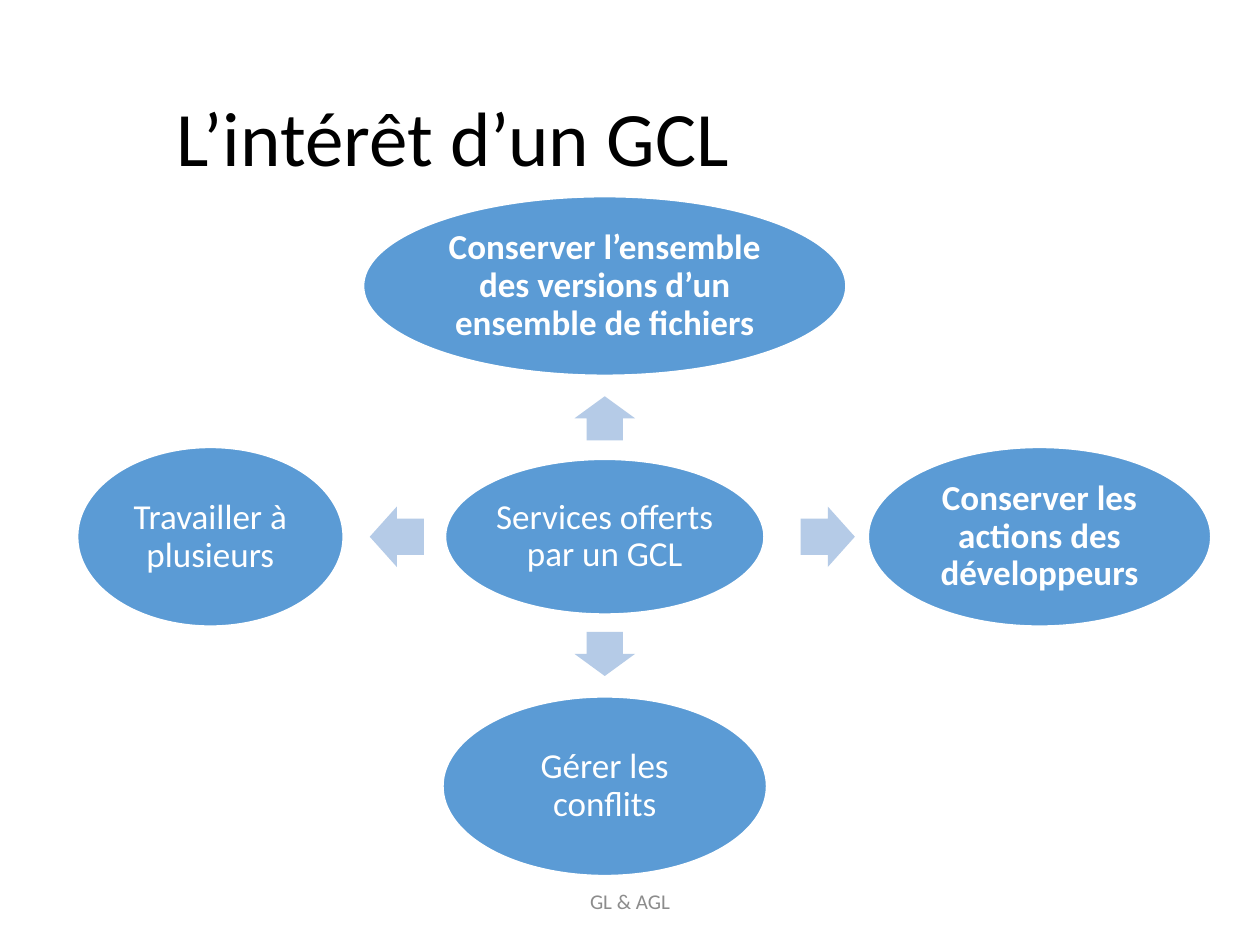
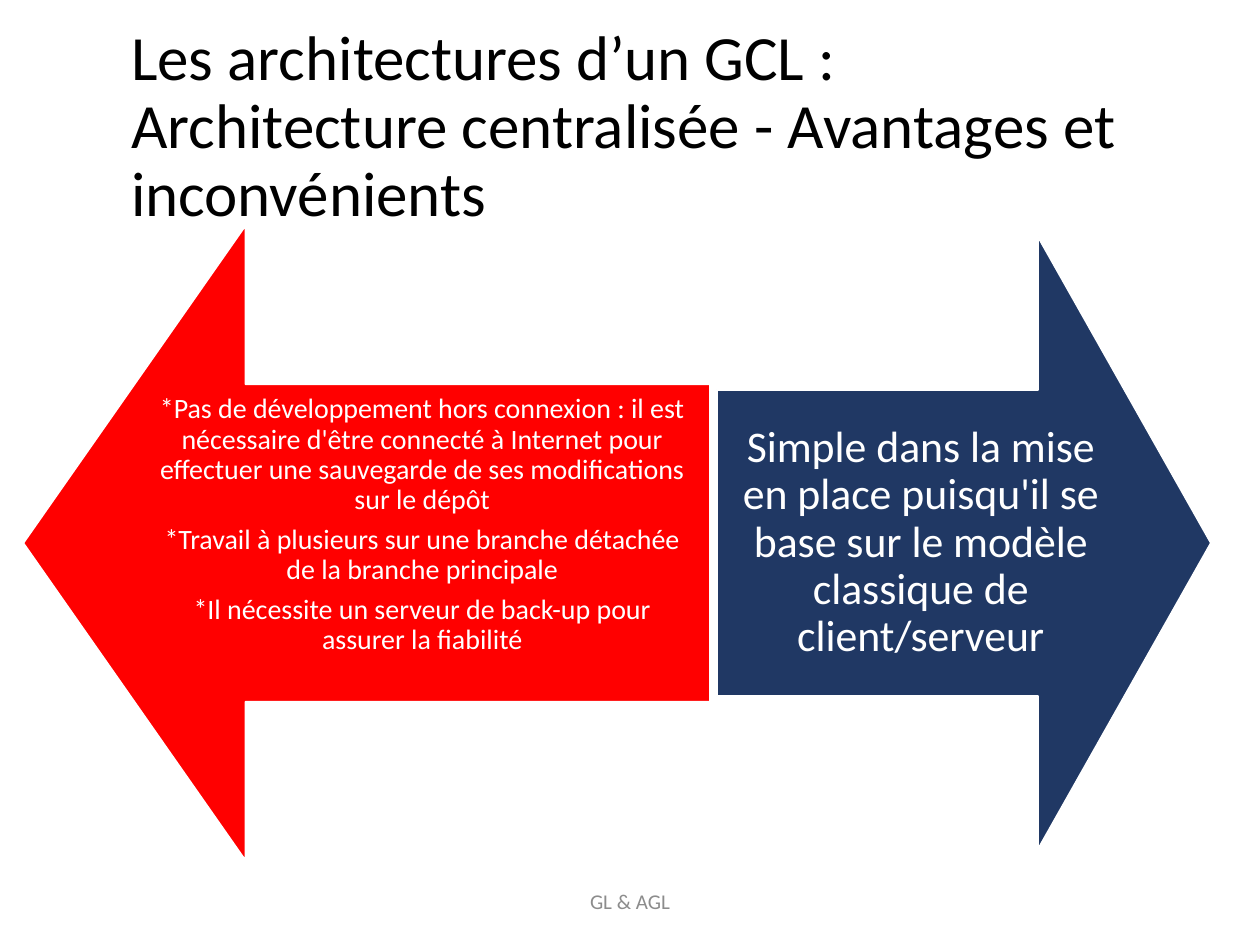
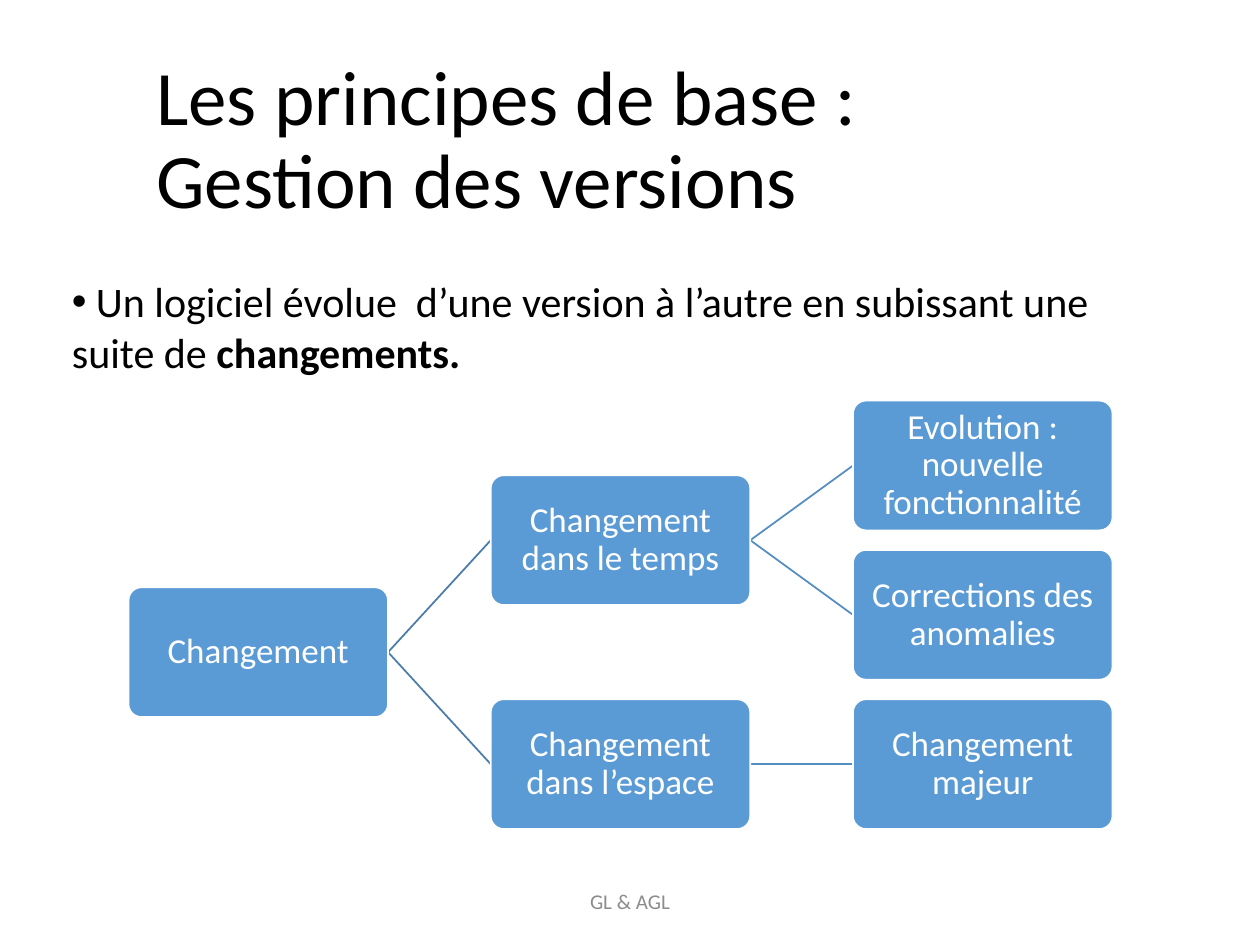
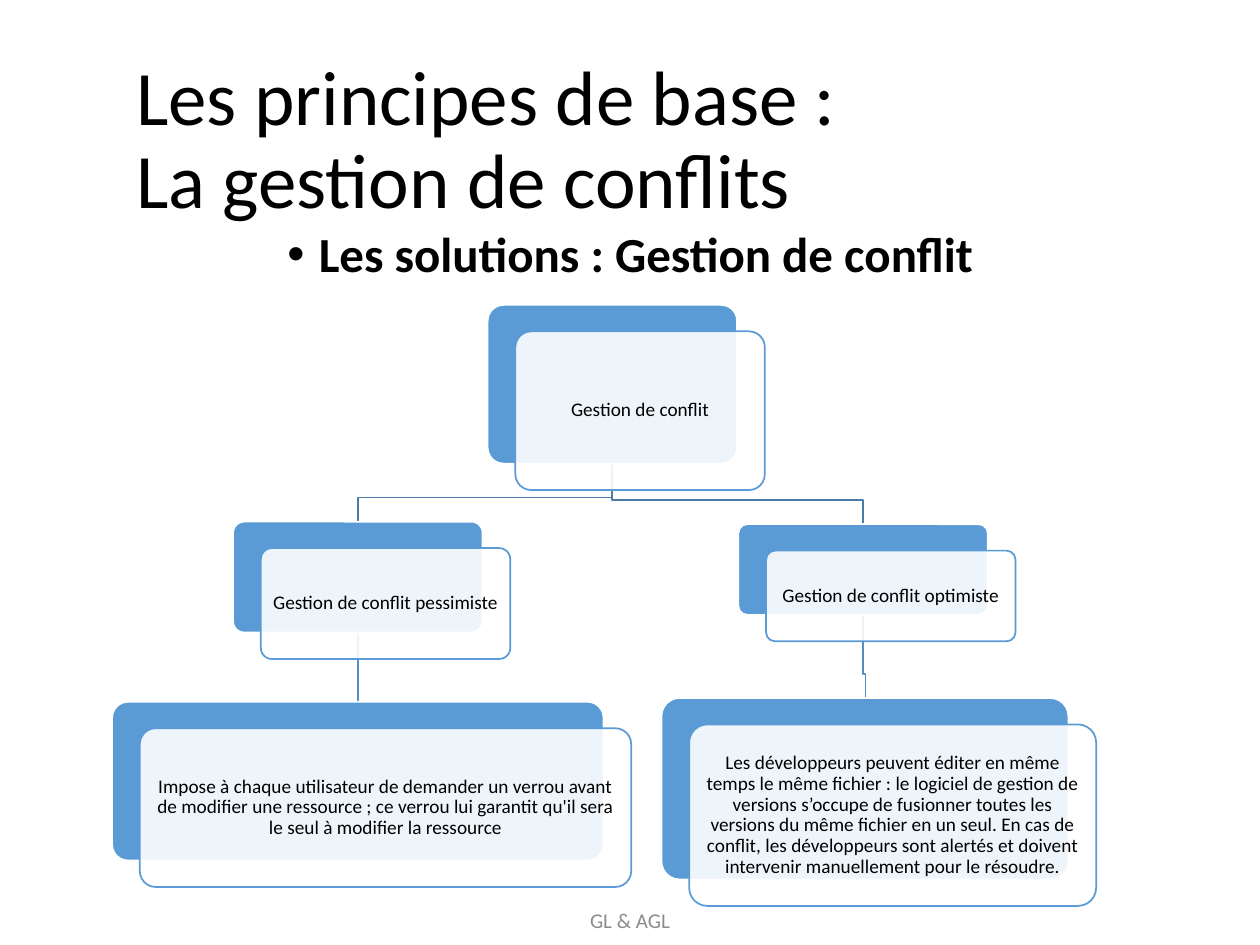
from lxml.etree import SubElement
from pptx import Presentation
from pptx.dml.color import RGBColor
from pptx.enum.shapes import MSO_CONNECTOR as Link, MSO_SHAPE as Kind
from pptx.enum.text import MSO_ANCHOR as Anchor, MSO_AUTO_SIZE as Fit, PP_ALIGN as Align
from pptx.oxml.ns import qn
from pptx.util import Inches, Pt

BLACK = RGBColor(0x00, 0x00, 0x00)
WHITE = RGBColor(0xFF, 0xFF, 0xFF)
GREY = RGBColor(0x8C, 0x8C, 0x8C)
BLUE = RGBColor(0x5B, 0x9B, 0xD5)
PALE = RGBColor(0xB5, 0xCB, 0xE7)
NAVY = RGBColor(0x20, 0x38, 0x64)
RED = RGBColor(0xFF, 0x00, 0x00)
DARK = RGBColor(0x49, 0x7C, 0xAB)
MID = RGBColor(0x53, 0x8D, 0xC1)
FONT = "Calibri"
TITLE_ONLY, TITLE_BODY = 5, 1


def place(shape, box):
    shape.left, shape.top, shape.width, shape.height = map(Inches, box)


def around(x, y, w, h):
    return x - w / 2, y - h / 2, w, h


def style(par, size, color, align=Align.CENTER, gap=0.9):
    par.alignment = align
    par.line_spacing = gap
    for run in par.runs:
        font = run.font
        font.name, font.size = FONT, Pt(size)
        font.color.rgb = color


def write(shape, text, size, color, pad, bold=False):
    frame = shape.text_frame
    frame.word_wrap = True
    frame.vertical_anchor = Anchor.MIDDLE
    frame.margin_left = frame.margin_right = Inches(pad)
    frame.margin_top = frame.margin_bottom = Inches(pad)
    frame.text = text
    for par in frame.paragraphs:
        style(par, size, color)
        par.space_after = Pt(0.35 * size)
        par.font.bold = bold
        for run in par.runs:
            run.font.bold = bold
    return frame


def draw(slide, kind, box, fill, line=WHITE, adj=()):
    shape = slide.shapes.add_shape(kind, *map(Inches, box))
    shape.shadow.inherit = False
    shape.fill.solid()
    shape.fill.fore_color.rgb = fill
    if line is None:
        shape.line.fill.background()
    else:
        shape.line.color.rgb = line
        shape.line.width = Pt(1)
    for i, share in enumerate(adj):
        shape.adjustments[i] = share
    return shape


def join(slide, start, end, color):
    line = slide.shapes.add_connector(Link.STRAIGHT, *map(Inches, start + end))
    line.line.color.rgb = color
    line.line.width = Pt(1)
    SubElement(line.element.spPr, qn("a:effectLst"))


def bend(slide, start, end, color):
    if start[0] == end[0]:
        return join(slide, start, end, color)
    turn = end[1] - 0.19
    dots = [(Inches(x), Inches(y)) for x, y in
            (start, (start[0], turn), (end[0], turn), end)]
    pen = slide.shapes.build_freeform(*dots[0])
    pen.add_line_segments(dots[1:], close=False)
    line = pen.convert_to_shape()
    line.shadow.inherit = False
    line.fill.background()
    line.line.color.rgb = color
    line.line.width = Pt(1)


def start(deck, layout, title, box, size=44, foot=6.95):
    slide = deck.slides.add_slide(deck.slide_layouts[layout])
    head = slide.shapes.title
    place(head, box)
    frame = head.text_frame
    frame.text = title
    frame.auto_size = Fit.NONE
    frame.vertical_anchor = Anchor.MIDDLE
    style(frame.paragraphs[0], size, BLACK, Align.LEFT)
    note = slide.shapes.add_textbox(*map(Inches, (3.31, foot, 3.38, 0.4)))
    frame = note.text_frame
    frame.word_wrap = True
    frame.vertical_anchor = Anchor.MIDDLE
    frame.text = "GL & AGL"
    style(frame.paragraphs[0], 12, GREY, gap=1.0)
    return slide


def bullet(slide, box, parts, size, align, gap, before, indent):
    body = slide.placeholders[1]
    place(body, box)
    frame = body.text_frame
    frame.auto_size = Fit.NONE
    par = frame.paragraphs[0]
    for text, bold in parts:
        run = par.add_run()
        run.text = text
        run.font.bold = bold
    style(par, size, BLACK, align, gap)
    par.space_before = Pt(before)
    props = par._p.get_or_add_pPr()
    props.set("marL", str(Inches(indent)))
    props.set("indent", str(-Inches(indent)))


def card(slide, box, text):
    x, y, w, h = box
    draw(slide, Kind.ROUNDED_RECTANGLE, box, BLUE, adj=[0.1])
    front = draw(slide, Kind.ROUNDED_RECTANGLE, (x + 0.22, y + 0.21, w, h),
                 WHITE, BLUE, [0.1])
    tint = front.element.spPr.find(qn("a:solidFill"))[0]
    SubElement(tint, qn("a:alpha")).set("val", "90000")
    write(front, text, 11, BLACK, 0.05)


def services(deck):
    slide = start(deck, TITLE_ONLY, "L’intérêt d’un GCL", (1.3, 0.4, 8.01, 1.45))
    mid, row = 4.8, 4.26
    ovals = [
        (mid, row, 2.53, 1.23, "Services offerts par un GCL", False),
        (mid, 2.27, 3.83, 1.42,
         "Conserver l’ensemble des versions d’un ensemble de fichiers", True),
        (8.25, row, 2.72, 1.42, "Conserver les actions des développeurs", True),
        (mid, 6.24, 2.57, 1.42, "Gérer les conflits", False),
        (1.67, row, 2.11, 1.42, "Travailler à plusieurs", False),
    ]
    for x, y, w, h, text, bold in ovals:
        oval = draw(slide, Kind.OVAL, around(x, y, w, h), BLUE)
        write(oval, text, 20, WHITE, 0.03, bold)
    arrows = [
        (Kind.UP_ARROW, mid, 3.32, 0.48, 0.35),
        (Kind.RIGHT_ARROW, 6.57, row, 0.43, 0.48),
        (Kind.DOWN_ARROW, mid, 5.19, 0.48, 0.35),
        (Kind.LEFT_ARROW, 3.15, row, 0.43, 0.48),
    ]
    for kind, *spot in arrows:
        draw(slide, kind, around(*spot), PALE, None, [0.6, 0.5])


def balance(deck):
    slide = start(deck, TITLE_ONLY,
                  "Les architectures d’un GCL : \v"
                  "Architecture centralisée - Avantages et inconvénients",
                  (0.94, 0.32, 8.33, 1.4), 36)
    row, adj = 4.31, [0.5, 0.35]
    cons = draw(slide, Kind.LEFT_ARROW, around(2.91, row, 5.45, 5.04), RED, adj=adj)
    frame = write(cons, "\n".join([
        "*Pas de développement hors connexion : il est nécessaire d'être connecté "
        "à Internet pour effectuer une sauvegarde de ses modifications sur le dépôt",
        "*Travail à plusieurs sur une branche détachée de la branche principale",
        "*Il nécessite un serveur de back-up pour assurer la fiabilité",
    ]), 16, WHITE, 0.12)
    frame.margin_bottom = Inches(0.4)
    pros = draw(slide, Kind.RIGHT_ARROW, around(7.65, row, 3.92, 4.86), NAVY, adj=adj)
    write(pros, "Simple dans la mise en place puisqu'il se base sur le modèle "
                "classique de client/serveur", 25, WHITE, 0.19)


def changes(deck):
    slide = start(deck, TITLE_BODY, "Les principes de base : \vGestion des versions",
                  (1.14, 0.4, 8.17, 1.45))
    bullet(slide, (0.47, 2.14, 8.98, 0.91), [
        (" Un logiciel évolue  d’une version à l’autre en subissant une suite de ", False),
        ("changements.", True)], 24, Align.LEFT, 1.0, 0, 0)
    wide, high = 2.06, 1.03
    nodes = [
        (0, 1.25, "Changement"),
        (1, 0.5, "Changement dans le temps"),
        (1, 2, "Changement dans l’espace"),
        (2, 0, "Evolution : nouvelle fonctionnalité"),
        (2, 1, "Corrections des anomalies"),
        (2, 2, "Changement majeur"),
    ]
    spots = [(1.02 + 2.875 * col, 3.18 + 1.185 * row) for col, row, _ in nodes]
    for a, b in [(0, 1), (0, 2), (1, 3), (1, 4), (2, 5)]:
        (x, y), (u, v) = spots[a], spots[b]
        join(slide, (x + wide, y + high / 2), (u, v + high / 2), MID if a else DARK)
    for spot, (_, _, text) in zip(spots, nodes):
        box = draw(slide, Kind.ROUNDED_RECTANGLE, (*spot, wide, high), BLUE, adj=[0.1])
        write(box, text, 20, WHITE, 0.01)


def conflicts(deck):
    slide = start(deck, TITLE_BODY, "Les principes de base :\vLa gestion de conflits",
                  (0.98, 0.4, 8.33, 1.45), foot=7.1)
    bullet(slide, (0.69, 1.78, 8.62, 4.76),
           [("Les solutions : Gestion de conflit", True)], 28, Align.CENTER, 0.9, 10, 0.25)
    cards = [
        (3.87, 2.42, 1.98, 1.26, "Gestion de conflit"),
        (1.85, 4.14, 1.98, 0.88, "Gestion de conflit pessimiste"),
        (0.89, 5.57, 3.9, 1.26,
         "Impose à chaque utilisateur de demander un verrou avant de modifier une "
         "ressource ; ce verrou lui garantit qu'il sera le seul à modifier la ressource"),
        (5.86, 4.16, 1.98, 0.72, "Gestion de conflit optimiste"),
        (5.25, 5.54, 3.23, 1.44,
         "Les développeurs peuvent éditer en même temps le même fichier : le logiciel "
         "de gestion de versions s’occupe de fusionner toutes les versions du même "
         "fichier en un seul. En cas de conflit, les développeurs sont alertés et "
         "doivent intervenir manuellement pour le résoudre."),
    ]
    for a, b in [(3, 4), (0, 3), (1, 2), (0, 1)]:
        x, y, w, h, _ = cards[a]
        u, v, wide, _, _ = cards[b]
        bend(slide, (round(x + w / 2, 2), y + h), (round(u + wide / 2, 2), v),
             MID if a else DARK)
    for *box, text in cards:
        card(slide, box, text)


def main():
    deck = Presentation()
    deck.slide_width, deck.slide_height = Inches(10), Inches(7.5)
    for build in (services, balance, changes, conflicts):
        build(deck)
    deck.save("out.pptx")


main()
